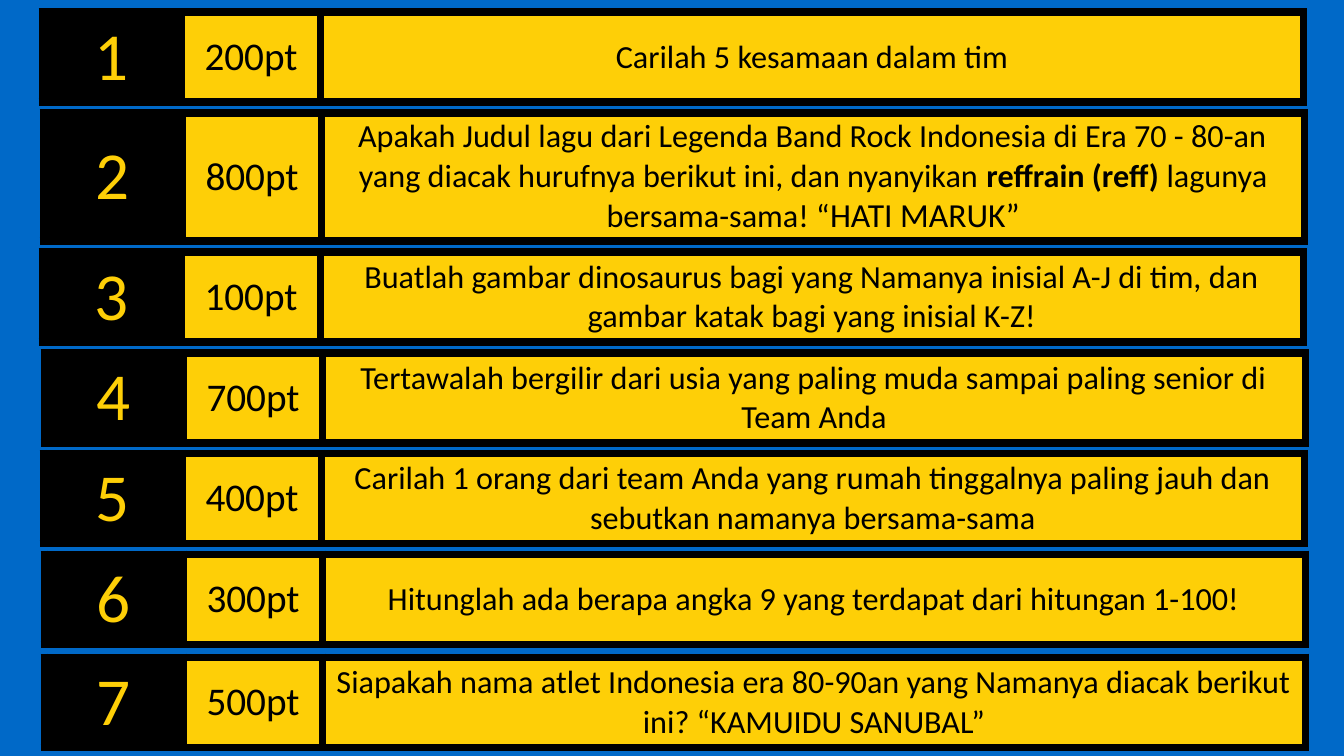
from lxml.etree import SubElement
from pptx import Presentation
from pptx.dml.color import RGBColor
from pptx.enum.shapes import MSO_CONNECTOR
from pptx.enum.text import MSO_ANCHOR, PP_ALIGN
from pptx.oxml.ns import qn
from pptx.util import Inches, Pt

BLUE = RGBColor(0x00, 0x69, 0xC8)
LIGHT_BLUE = RGBColor(0x19, 0x73, 0xEB)
YELLOW = RGBColor(0xFE, 0xCF, 0x07)
BLACK = RGBColor(0x00, 0x00, 0x00)

COLUMN_WIDTHS = (1.38, 1.38, 9.75)
ROW_HEIGHT = 0.88
TALL_ROW_HEIGHT = 1.24
BORDER_WIDTH = Pt(6)

# Left, top, height, points, and question as (text, size, bold) runs
CHALLENGES = [
    (0.42, 0.12, ROW_HEIGHT, "200pt", [("Carilah 5 kesamaan dalam tim", 23, False)]),
    (0.43, 1.12, TALL_ROW_HEIGHT, "800pt", [
        ("Apakah Judul lagu dari Legenda Band Rock Indonesia di Era 70 - 80-an "
         "yang diacak hurufnya berikut ini, dan nyanyikan ", 23, False),
        ("reffrain (reff) ", 23, True),
        ("lagunya bersama-sama! “", 23, False),
        ("HATI MARUK”", 24, False)]),
    (0.42, 2.5, ROW_HEIGHT, "100pt", [
        ("Buatlah gambar dinosaurus bagi yang Namanya inisial A-J di tim, "
         "dan gambar katak bagi yang inisial K-Z!", 23, False)]),
    (0.44, 3.5, ROW_HEIGHT, "700pt", [
        ("Tertawalah bergilir dari usia yang paling muda sampai paling senior "
         "di Team Anda", 23, False)]),
    (0.43, 4.5, ROW_HEIGHT, "400pt", [
        ("Carilah 1 orang dari team Anda yang rumah tinggalnya paling jauh "
         "dan sebutkan namanya bersama-sama", 23, False)]),
    (0.44, 5.5, ROW_HEIGHT, "300pt", [
        ("Hitunglah ada berapa angka 9 yang terdapat dari hitungan 1-100!", 23, False)]),
    (0.44, 6.52, ROW_HEIGHT, "500pt", [
        ("Siapakah nama atlet Indonesia era 80-90an yang Namanya diacak berikut "
         "ini? “KAMUIDU SANUBAL”", 23, False)]),
]


def add_borders(cell):
    properties = cell._tc.get_or_add_tcPr()
    for side in ("a:lnL", "a:lnR", "a:lnT", "a:lnB"):
        border = SubElement(properties, qn(side), w=str(BORDER_WIDTH))
        fill = SubElement(border, qn("a:solidFill"))
        SubElement(fill, qn("a:srgbClr"), val=str(BLACK))


def fill_cell(cell, runs, text_color, fill_color):
    add_borders(cell)
    cell.fill.solid()
    cell.fill.fore_color.rgb = fill_color
    cell.vertical_anchor = MSO_ANCHOR.MIDDLE
    cell.margin_left = cell.margin_right = Inches(0.1)
    cell.margin_top = cell.margin_bottom = Inches(0.04)
    paragraph = cell.text_frame.paragraphs[0]
    paragraph.alignment = PP_ALIGN.CENTER
    for text, size, bold in runs:
        run = paragraph.add_run()
        run.text = text
        run.font.name = "Calibri"
        run.font.size = Pt(size)
        run.font.bold = bold
        run.font.color.rgb = text_color


presentation = Presentation()
presentation.slide_width = Inches(13.33)
presentation.slide_height = Inches(7.5)
slide = presentation.slides.add_slide(presentation.slide_layouts[6])

# Background and accent line
slide.background.fill.solid()
slide.background.fill.fore_color.rgb = BLUE
accent = slide.shapes.add_connector(
    MSO_CONNECTOR.STRAIGHT, Inches(1.08), Inches(1.13), Inches(2.15), Inches(1.13))
accent.line.color.rgb = LIGHT_BLUE
accent.line.width = Pt(6)
SubElement(accent._element.spPr, qn("a:effectLst"))

# One single-row table per challenge
for number, (left, top, height, points, question) in enumerate(CHALLENGES, start=1):
    table = slide.shapes.add_table(
        1, len(COLUMN_WIDTHS), Inches(left), Inches(top),
        Inches(sum(COLUMN_WIDTHS)), Inches(height)).table
    table.first_row = False
    table.horz_banding = False
    for column, width in zip(table.columns, COLUMN_WIDTHS):
        column.width = Inches(width)
    fill_cell(table.cell(0, 0), [(str(number), 48, False)], YELLOW, BLACK)
    fill_cell(table.cell(0, 1), [(points, 28, False)], BLACK, YELLOW)
    fill_cell(table.cell(0, 2), question, BLACK, YELLOW)

presentation.save("out.pptx")
